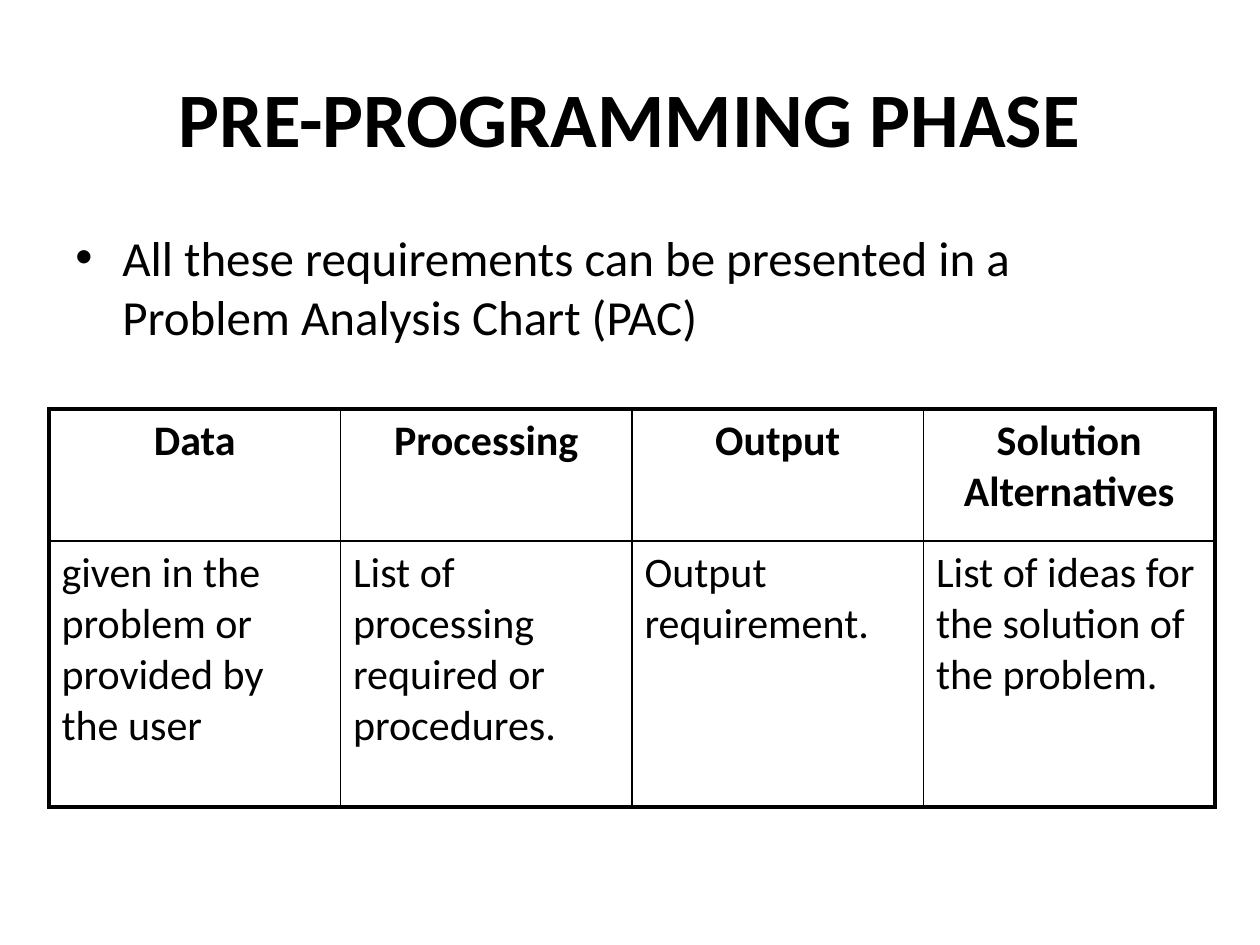
import pptx
import pptx.dml.color
import pptx.enum.text
import pptx.oxml.ns
import pptx.util
from lxml import etree

EMU_PER_INCH = 914400
PX_PER_INCH = 126
FONT = "Calibri"
BLACK = "000000"
WHITE = "FFFFFF"
THICK, THIN = 2.25, 1

HEADINGS = ["Data", "Processing", "Output", "Solution Alternatives"]
DETAILS = [
    "given in the problem or provided by the user",
    "List of processing required or procedures.",
    "Output requirement.",
    "List of ideas for the solution of\vthe problem.",
]

ALIGN = pptx.enum.text.PP_ALIGN
ANCHOR = pptx.enum.text.MSO_ANCHOR


def px(length):
    return pptx.util.Emu(round(length * EMU_PER_INCH / PX_PER_INCH))


def color(hex_code):
    return pptx.dml.color.RGBColor.from_string(hex_code)


def add_xml(parent, tag, **attributes):
    child = etree.SubElement(parent, pptx.oxml.ns.qn(tag))
    for key, value in attributes.items():
        child.set(key, str(value))
    return child


def write(frame, text, size, bold=False, align=ALIGN.LEFT, anchor=ANCHOR.TOP):
    """Fill a text frame with one formatted paragraph and return it."""
    frame.word_wrap = True
    frame.vertical_anchor = anchor
    paragraph = frame.paragraphs[0]
    paragraph.text = text
    paragraph.alignment = align
    for run in paragraph.runs:
        run.font.name = FONT
        run.font.size = pptx.util.Pt(size)
        run.font.bold = bold
        run.font.color.rgb = color(BLACK)
    return paragraph


def add_text(slide, box, text, **style):
    textbox = slide.shapes.add_textbox(*map(px, box))
    return write(textbox.text_frame, text, **style)


def add_bullet(paragraph, indent):
    properties = paragraph._p.get_or_add_pPr()
    properties.set("marL", str(px(indent)))
    properties.set("indent", str(-px(indent)))
    add_xml(properties, "a:buFont", typeface="Arial")
    add_xml(properties, "a:buChar", char="•")


def set_borders(cell, widths):
    """Draw cell borders from widths in points, keyed by side."""
    properties = cell._tc.get_or_add_tcPr()
    for position, side in enumerate("LRTB"):
        line = add_xml(properties, f"a:ln{side}", w=pptx.util.Pt(widths[side]))
        fill = add_xml(line, "a:solidFill")
        add_xml(fill, "a:srgbClr", val=BLACK)
        properties.insert(position, line)


def add_analysis_chart(slide, box):
    left, top, width, height = box
    rows = [HEADINGS, DETAILS]
    last_row, last_column = len(rows) - 1, len(HEADINGS) - 1
    table = slide.shapes.add_table(
        len(rows), len(HEADINGS), *map(px, box)).table
    table.first_row = table.horz_banding = False
    for column in table.columns:
        column.width = px(width / len(HEADINGS))
    heading_height = height // 3
    table.rows[0].height = px(heading_height)
    table.rows[1].height = px(height - heading_height)

    for r, texts in enumerate(rows):
        for c, text in enumerate(texts):
            cell = table.cell(r, c)
            cell.fill.background()
            is_heading = r == 0
            write(cell.text_frame, text, size=24, bold=is_heading,
                  align=ALIGN.CENTER if is_heading else ALIGN.LEFT)
            set_borders(cell, {
                "L": THICK if c == 0 else THIN,
                "R": THICK if c == last_column else THIN,
                "T": THICK if r == 0 else THIN,
                "B": THICK if r == last_row else THIN,
            })


def main():
    deck = pptx.Presentation()
    deck.slide_width, deck.slide_height = px(1260), px(945)
    slide = deck.slides.add_slide(deck.slide_layouts[6])
    slide.background.fill.solid()
    slide.background.fill.fore_color.rgb = color(WHITE)

    add_text(slide, (63, 38, 1134, 158), "PRE-PROGRAMMING PHASE",
             size=44, bold=True, align=ALIGN.CENTER, anchor=ANCHOR.MIDDLE)
    requirement = add_text(
        slide, (63, 221, 1081, 158),
        "All these requirements can be presented in a "
        "Problem Analysis Chart (PAC)", size=28)
    add_bullet(requirement, indent=47)
    add_analysis_chart(slide, (49, 409, 1166, 398))
    deck.save("out.pptx")


if __name__ == "__main__":
    main()
